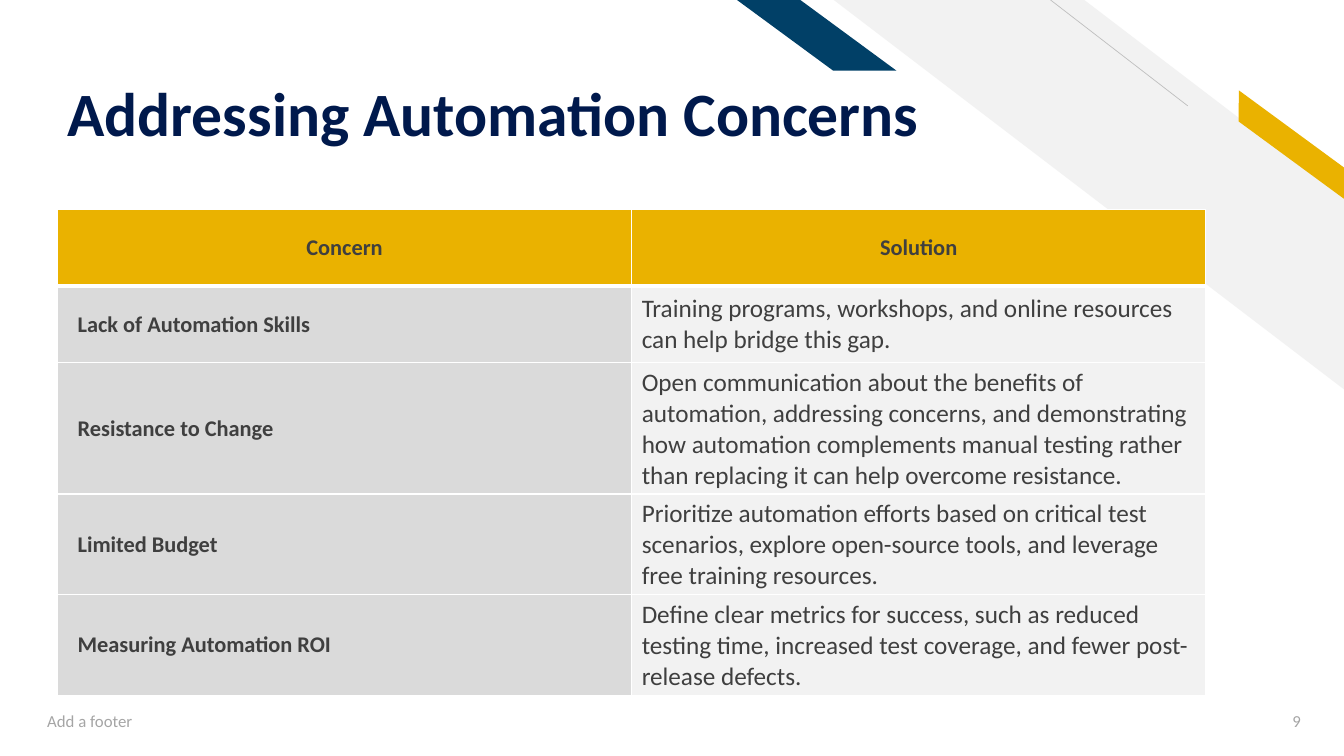
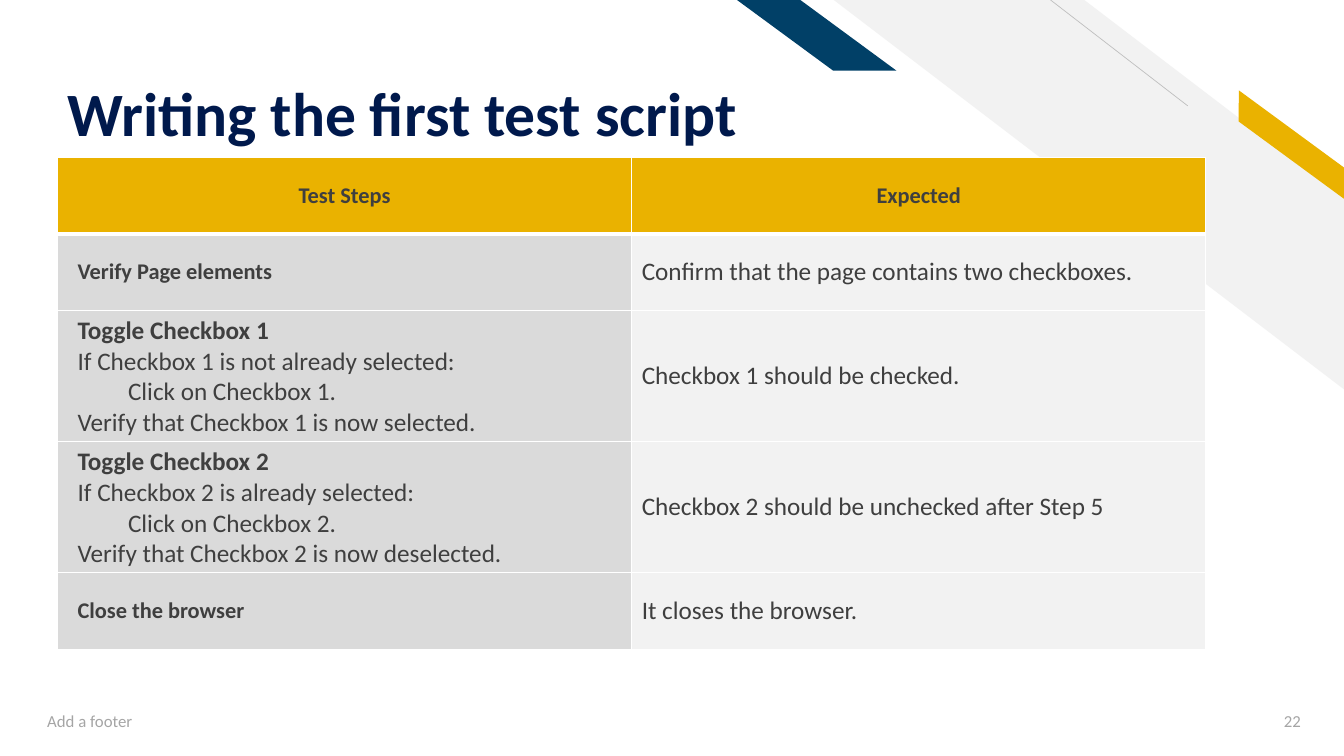
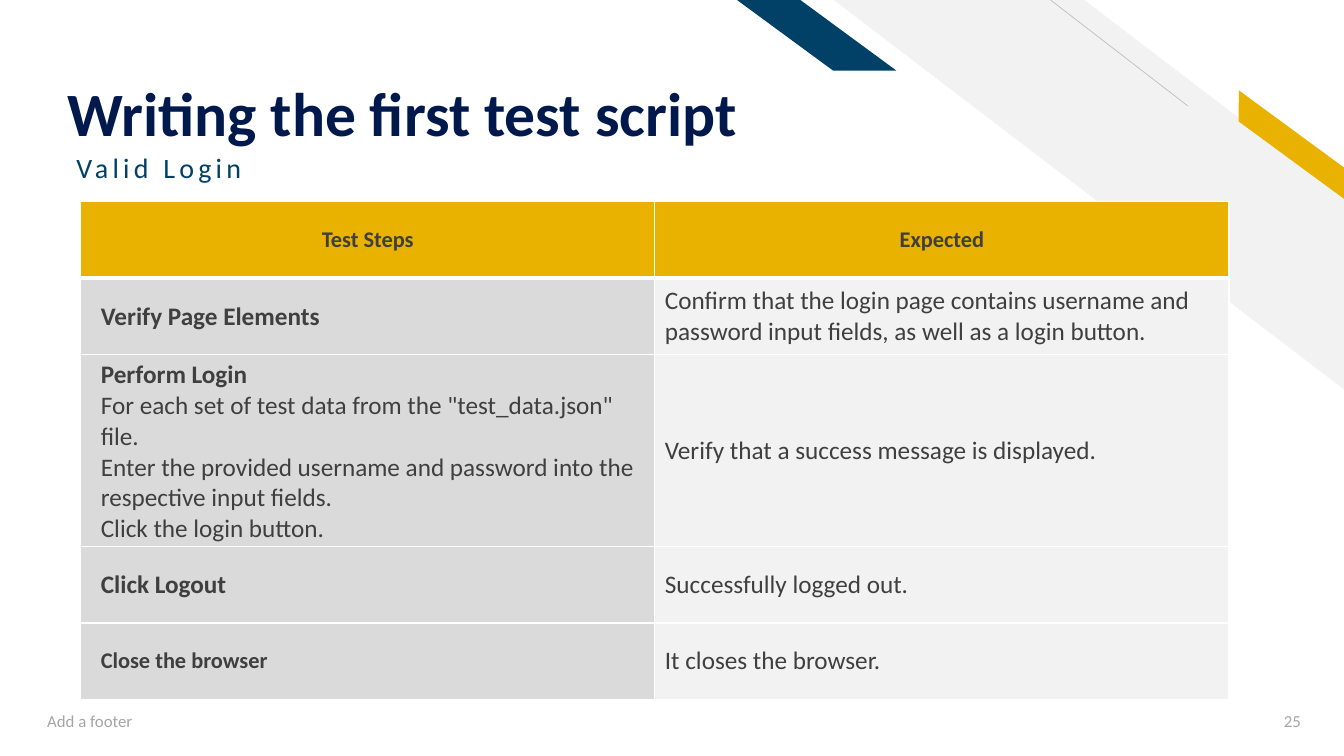
"""Build three table slides about test automation with a shared diagonal-band design."""
import pptx
import pptx.dml.color
import pptx.enum.shapes
import pptx.enum.text
import pptx.oxml
import pptx.oxml.ns
import pptx.util

Inches = pptx.util.Inches
Pt = pptx.util.Pt
SHAPE = pptx.enum.shapes.MSO_SHAPE
ALIGN = pptx.enum.text.PP_ALIGN
ANCHOR = pptx.enum.text.MSO_ANCHOR
NAMESPACE = pptx.oxml.ns.nsdecls("a")

NAVY, TEAL, GOLD = "00194C", "014067", "EAB200"
WHITE, PALE, SILVER, RULE = "FFFFFF", "F2F2F2", "DADADA", "BFBFBF"
BODY, MUTED = "3F3F3F", "A5A5A5"

TITLE = {"name": "Calibri", "size": Pt(44), "bold": True}
SUBTITLE = {"name": "Calibri", "size": Pt(20)}
FOOTER = {"name": "Calibri", "size": Pt(12)}
LABEL = {"name": "Calibri", "size": Pt(16), "bold": True}
STRONG = {"name": "Calibri", "size": Pt(18), "bold": True}
PLAIN = {"name": "Calibri", "size": Pt(18), "bold": False}

BANDS = [
    (SHAPE.DIAGONAL_STRIPE, (8.27, 0, 5.07, 3.87), 0.51, 0, PALE),
    (SHAPE.PARALLELOGRAM, (12.07, 1.31, 1.48, 0.25), 0.72, 36.3, GOLD),
    (SHAPE.PARALLELOGRAM, (7.31, 0, 1.58, 0.7), 1.36, 0, TEAL),
]

SLIDES = [
    {
        "title": "Addressing Automation Concerns", "number": "9", "corner": (0.57, 2.08),
        "head": ("Concern", "Solution"),
        "rows": [
            (LABEL, ["Lack of Automation Skills"],
             "Training programs, workshops, and online resources can help bridge this gap."),
            (LABEL, ["Resistance to Change"],
             "Open communication about the benefits of automation, addressing concerns, and "
             "demonstrating how automation complements manual testing rather than replacing "
             "it can help overcome resistance."),
            (LABEL, ["Limited Budget"],
             "Prioritize automation efforts based on critical test scenarios, explore "
             "open-source tools, and leverage free training resources."),
            (LABEL, ["Measuring Automation ROI"],
             "Define clear metrics for success, such as reduced testing time, increased test "
             "coverage, and fewer post-release defects."),
        ],
    },
    {
        "title": "Writing the first test script", "number": "22", "corner": (0.57, 1.56),
        "head": ("Test Steps", "Expected"),
        "rows": [
            (LABEL, ["Verify Page elements"], "Confirm that the page contains two checkboxes."),
            (STRONG, ["Toggle Checkbox 1", "If Checkbox 1 is not already selected:",
                      "\tClick on Checkbox 1.", "Verify that Checkbox 1 is now selected."],
             "Checkbox 1 should be checked."),
            (STRONG, ["Toggle Checkbox 2", "If Checkbox 2 is already selected:",
                      "\tClick on Checkbox 2.", "Verify that Checkbox 2 is now deselected."],
             "Checkbox 2 should be unchecked after Step 5"),
            (LABEL, ["Close the browser"], "It closes the browser."),
        ],
    },
    {
        "title": "Writing the first test script", "number": "25", "corner": (0.8, 2),
        "subtitle": "Valid Login",
        "head": ("Test Steps", "Expected"),
        "rows": [
            (STRONG, ["Verify Page Elements"],
             "Confirm that the login page contains username and password input fields, "
             "as well as a login button."),
            (STRONG, ["Perform Login",
                      'For each set of test data from the "test_data.json" file.',
                      "Enter the provided username and password into the respective input fields.",
                      "Click the login button."],
             "Verify that a success message is displayed."),
            (STRONG, ["Click Logout"], "Successfully logged out."),
            (LABEL, ["Close the browser"], "It closes the browser."),
        ],
    },
]


def paint(fill, colour):
    fill.solid()
    fill.fore_color.rgb = pptx.dml.color.RGBColor.from_string(colour)


def write(para, text, style, colour, align=ALIGN.LEFT):
    para.alignment = align
    span = para.add_run()
    span.text = text
    for name, value in style.items():
        setattr(span.font, name, value)
    paint(span.font.fill, colour)
    return span


deck = pptx.Presentation()
deck.slide_width, deck.slide_height = Inches(13.33), Inches(7.5)

for content in SLIDES:
    page = deck.slides.add_slide(deck.slide_layouts[6])
    paint(page.background.fill, WHITE)

    for kind, place, bend, turn, colour in BANDS:
        band = page.shapes.add_shape(kind, *map(Inches, place))
        band.adjustments[0] = bend
        band.rotation = turn
        band.shadow.inherit = False
        band.line.fill.background()
        paint(band.fill, colour)
        band.element.spPr.get_or_add_xfrm().set("flipH", "1")

    rule = page.shapes.add_connector(
        pptx.enum.shapes.MSO_CONNECTOR.STRAIGHT, *map(Inches, (11.78, 1.05, 10.42, 0)))
    rule.line.width = Pt(0.5)
    paint(rule.line.fill, RULE)
    rule.element.spPr.append(pptx.oxml.parse_xml(f"<a:effectLst {NAMESPACE}/>"))

    texts = [
        (content["title"], (0.57, 0.23, 9.11, 1.26), TITLE, NAVY, ALIGN.LEFT,
         {"vertical_anchor": ANCHOR.BOTTOM, "margin_bottom": 0}, {"line_spacing": 0.9}),
        ("Add a footer", (0.37, 6.95, 4.5, 0.4), FOOTER, MUTED, ALIGN.LEFT,
         {"vertical_anchor": ANCHOR.MIDDLE}, {}),
        (content["number"], (12.19, 6.95, 0.81, 0.4), FOOTER, MUTED, ALIGN.RIGHT,
         {"vertical_anchor": ANCHOR.MIDDLE}, {}),
    ]
    if "subtitle" in content:
        texts.append((content["subtitle"], (0.66, 1.48, 8.06, 0.67), SUBTITLE, TEAL, ALIGN.LEFT,
                      {}, {"line_spacing": 0.9, "space_before": Pt(10)}))
    for text, place, style, colour, align, frame_format, para_format in texts:
        frame = page.shapes.add_textbox(*map(Inches, place)).text_frame
        frame.word_wrap = True
        para = frame.paragraphs[0]
        for target, values in ((frame, frame_format), (para, para_format)):
            for name, value in values.items():
                setattr(target, name, value)
        span = write(para, text, style, colour, align)
        if style is SUBTITLE:
            span.font._element.set("spc", "300")

    left, top = content["corner"]
    row_count = len(content["rows"]) + 1
    table = page.shapes.add_table(row_count, 2, Inches(left), Inches(top),
                                  Inches(11.39), Inches(0.76 * row_count)).table
    table.horz_banding = False

    for column, heading in enumerate(content["head"]):
        write(table.cell(0, column).text_frame.paragraphs[0], heading, LABEL, BODY, ALIGN.CENTER)
    for row, (style, lines, answer) in enumerate(content["rows"], 1):
        step = table.cell(row, 0)
        step.margin_left = Inches(0.2)
        for index, line in enumerate(lines):
            para = step.text_frame.add_paragraph() if index else step.text_frame.paragraphs[0]
            write(para, line.strip(), PLAIN if index else style, BODY)
            if line.startswith("\t"):
                para.level = 1
                para._p.get_or_add_pPr().set("marL", str(Inches(0.5)))
        write(table.cell(row, 1).text_frame.paragraphs[0], answer, PLAIN, BODY)

    for row in range(row_count):
        for column, colour in enumerate((SILVER, PALE)):
            cell = table.cell(row, column)
            cell.vertical_anchor = ANCHOR.MIDDLE
            for side in "LRTB":
                heavy = (row, side) in ((0, "B"), (1, "T"))
                cell._tc.get_or_add_tcPr().append(pptx.oxml.parse_xml(
                    f'<a:ln{side} {NAMESPACE} w="{Pt(3 if heavy else 1)}"><a:solidFill>'
                    f'<a:srgbClr val="{WHITE}"/></a:solidFill></a:ln{side}>'))
            paint(cell.fill, colour if row else GOLD)

deck.save("out.pptx")
